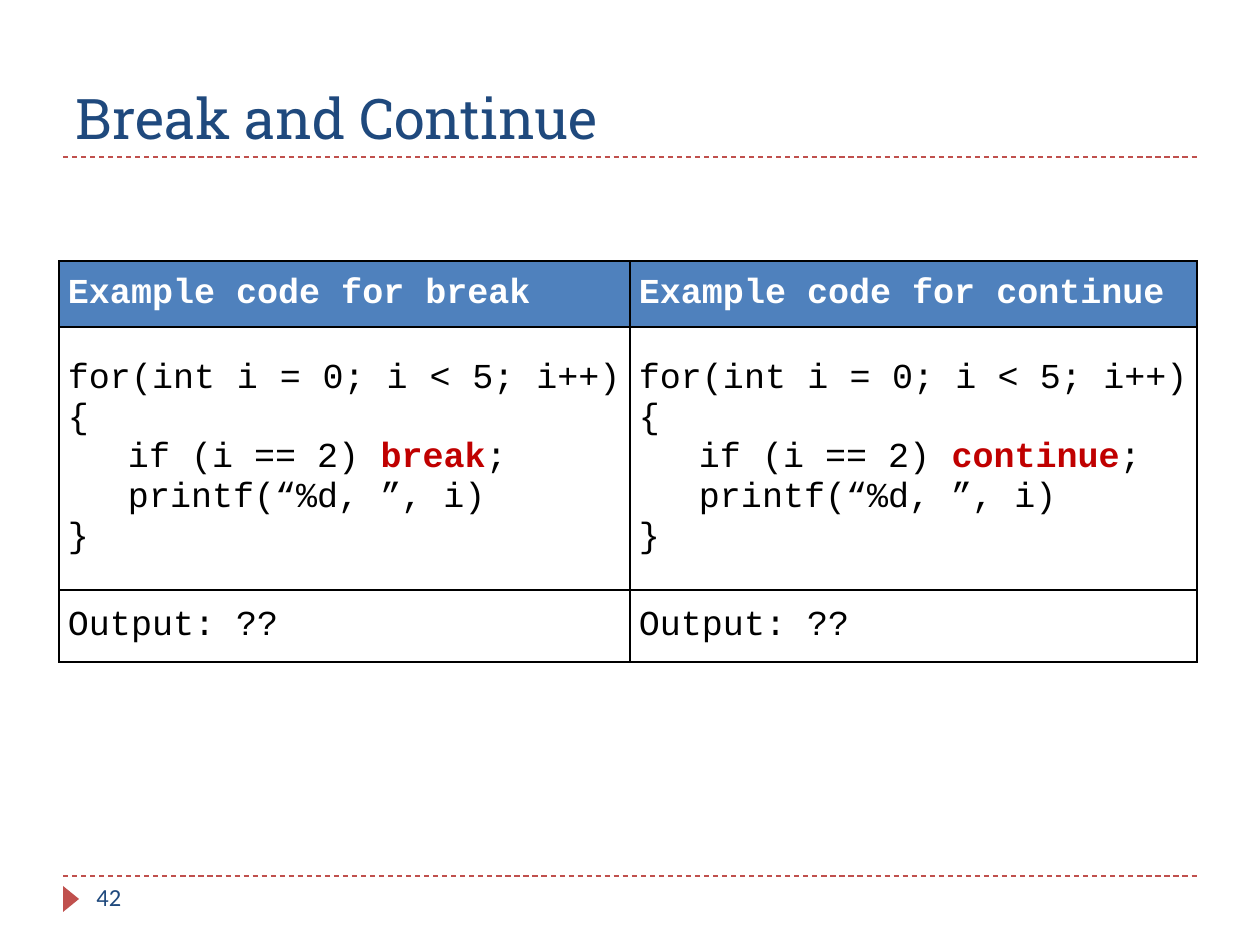
"""Build the slide comparing break and continue in a C loop."""
from dataclasses import dataclass

from lxml import etree
from pptx import Presentation
from pptx.dml.color import RGBColor
from pptx.enum.dml import MSO_LINE
from pptx.enum.shapes import MSO_CONNECTOR, MSO_SHAPE
from pptx.enum.text import MSO_ANCHOR, PP_ALIGN
from pptx.oxml.ns import qn
from pptx.util import Emu, Pt

DASH = MSO_LINE.DASH
STRAIGHT = MSO_CONNECTOR.STRAIGHT
TRIANGLE = MSO_SHAPE.ISOSCELES_TRIANGLE
BOTTOM, MIDDLE, TOP = MSO_ANCHOR.BOTTOM, MSO_ANCHOR.MIDDLE, MSO_ANCHOR.TOP
LEFT, JUSTIFY = PP_ALIGN.LEFT, PP_ALIGN.JUSTIFY
PX_PER_INCH = 126
COLORS = {
    "navy": "1F497D", "brick": "C0504D", "header": "4F81BD",
    "white": "FFFFFF", "black": "000000", "keyword": "C00000",
}
COLUMN_WIDTHS = (571, 567)
ROW_HEIGHTS = (66, 263, 72)
CELL_MARGIN = 9
CODE_INDENT = 18


@dataclass(frozen=True)
class Segment:
    text: str
    color: str = "black"
    bold: bool = False


@dataclass(frozen=True)
class Line:
    segments: tuple[Segment, ...]
    indent: int = 0


@dataclass(frozen=True)
class TableCell:
    lines: tuple[Line, ...]
    fill: str | None = None


def px(value: int) -> Emu:
    """Convert pixels to EMU."""
    return Emu(round(value * 914400 / PX_PER_INCH))


def rgb(name: str) -> RGBColor:
    """Look up a named colour."""
    return RGBColor.from_string(COLORS[name])


def add_run(paragraph, segment: Segment, font_name: str, size: int) -> None:
    """Append one formatted run."""
    run = paragraph.add_run()
    run.text = segment.text
    run.font.name = font_name
    run.font.size = Pt(size)
    run.font.bold = segment.bold
    run.font.color.rgb = rgb(segment.color)


def add_rule(slide, y: int) -> None:
    """Draw a dashed rule across the slide."""
    rule = slide.shapes.add_connector(STRAIGHT, px(63), px(y), px(1197), px(y))
    rule.line.color.rgb = rgb("brick")
    rule.line.width = Pt(0.75)
    rule.line.dash_style = DASH
    etree.SubElement(rule._element.spPr, qn("a:effectLst"))


def add_title(slide, text: str) -> None:
    """Fill and place the title placeholder."""
    title = slide.shapes.title
    title.left, title.top, title.width, title.height = map(px, (63, 21, 1134, 136))
    title.text_frame.vertical_anchor = BOTTOM
    paragraph = title.text_frame.paragraphs[0]
    paragraph.alignment = LEFT
    add_run(paragraph, Segment(text, "navy"), "Roboto Slab", 32)


def add_page_number(slide, number: str) -> None:
    """Draw the page marker and its number."""
    marker = slide.shapes.add_shape(TRIANGLE, px(58), px(891), px(26), px(16))
    marker.rotation = 90
    marker.shadow.inherit = False
    marker.fill.solid()
    marker.fill.fore_color.rgb = rgb("brick")
    marker.line.fill.background()
    box = slide.shapes.add_textbox(px(84), px(876), px(273), px(50))
    box.text_frame.word_wrap = True
    box.text_frame.vertical_anchor = TOP
    add_run(box.text_frame.paragraphs[0], Segment(number, "navy"), "Calibri", 14)


def set_borders(cell) -> None:
    """Give a cell thin black borders on all sides."""
    properties = cell._tc.get_or_add_tcPr()
    for side in ("lnL", "lnR", "lnT", "lnB"):
        border = etree.SubElement(properties, qn(f"a:{side}"), w=str(Pt(1)))
        fill = etree.SubElement(border, qn("a:solidFill"))
        etree.SubElement(fill, qn("a:srgbClr"), val=COLORS["black"])


def fill_cell(cell, content: TableCell) -> None:
    """Write and format one table cell."""
    set_borders(cell)
    if content.fill:
        cell.fill.solid()
        cell.fill.fore_color.rgb = rgb(content.fill)
    else:
        cell.fill.background()
    cell.vertical_anchor = MIDDLE
    cell.margin_left = cell.margin_right = px(CELL_MARGIN)
    cell.margin_top = cell.margin_bottom = 0
    frame = cell.text_frame
    for index, line in enumerate(content.lines):
        paragraph = frame.add_paragraph() if index else frame.paragraphs[0]
        paragraph.alignment = JUSTIFY
        if line.indent:
            properties = paragraph._p.get_or_add_pPr()
            properties.set("marL", "0")
            properties.set("indent", str(px(line.indent)))
        for segment in line.segments:
            add_run(paragraph, segment, "Courier New", 20)


def example_column(keyword: str) -> tuple[TableCell, ...]:
    """Describe the header, code and output cells for a keyword."""
    header = Line((Segment(f"Example code for {keyword}", "white", True),))
    condition = (
        Segment("  if (i == 2) "), Segment(keyword, "keyword", True), Segment(";"),
    )
    code = (
        Line((Segment("for(int i = 0; i < 5; i++){"),)),
        Line(condition, CODE_INDENT),
        Line((Segment("  printf(“%d, ”, i)"),), CODE_INDENT),
        Line((Segment("}"),)),
    )
    output = Line((Segment("Output: ??"),))
    return TableCell((header,), "header"), TableCell(code), TableCell((output,))


def add_examples(slide, keywords: tuple[str, ...]) -> None:
    """Add the table with one example column per keyword."""
    table = slide.shapes.add_table(
        len(ROW_HEIGHTS), len(keywords), px(59), px(261),
        px(sum(COLUMN_WIDTHS)), px(sum(ROW_HEIGHTS)),
    ).table
    table.horz_banding = False
    for row, height in zip(table.rows, ROW_HEIGHTS):
        row.height = px(height)
    for column_index, keyword in enumerate(keywords):
        table.columns[column_index].width = px(COLUMN_WIDTHS[column_index])
        for row_index, content in enumerate(example_column(keyword)):
            fill_cell(table.cell(row_index, column_index), content)


def main() -> None:
    """Build and save the presentation."""
    presentation = Presentation()
    presentation.slide_width, presentation.slide_height = px(1260), px(945)
    slide = presentation.slides.add_slide(presentation.slide_layouts[5])
    for y in (876, 157):
        add_rule(slide, y)
    add_title(slide, "Break and Continue")
    add_page_number(slide, "42")
    add_examples(slide, ("break", "continue"))
    presentation.save("out.pptx")


if __name__ == "__main__":
    main()
